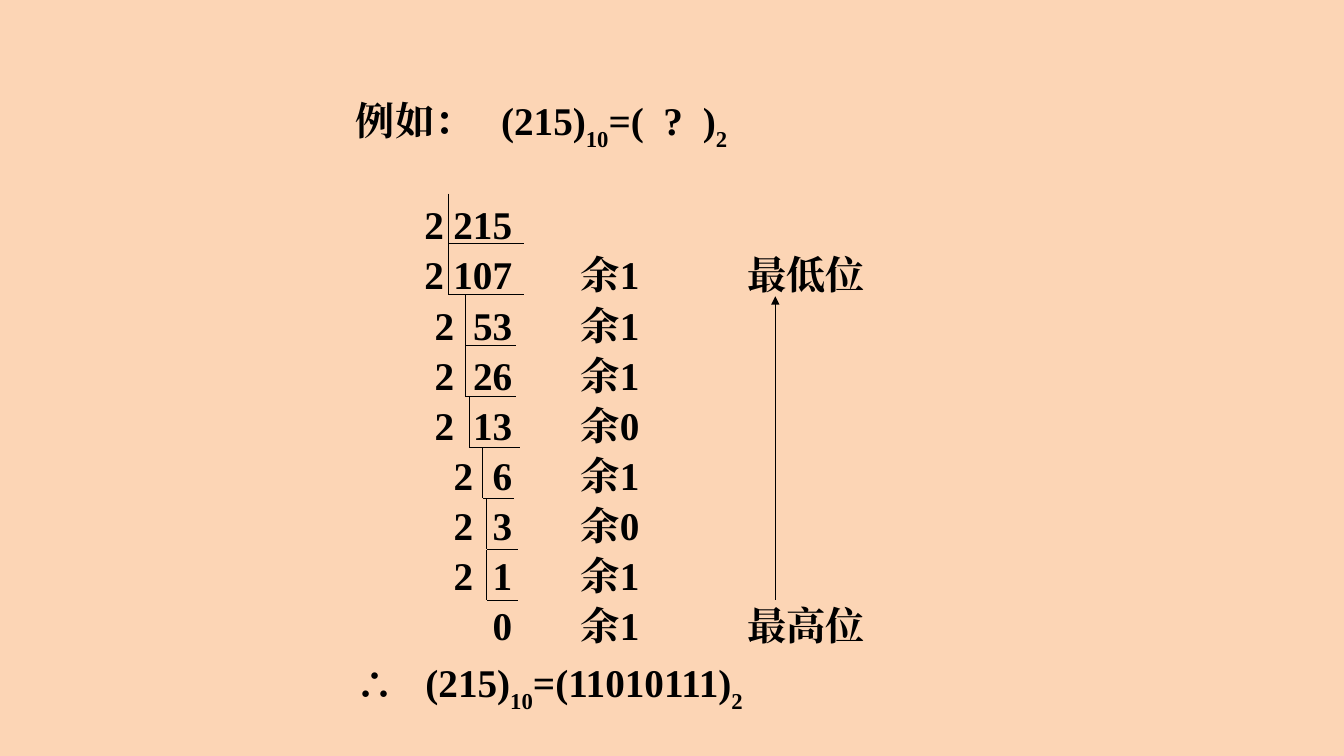
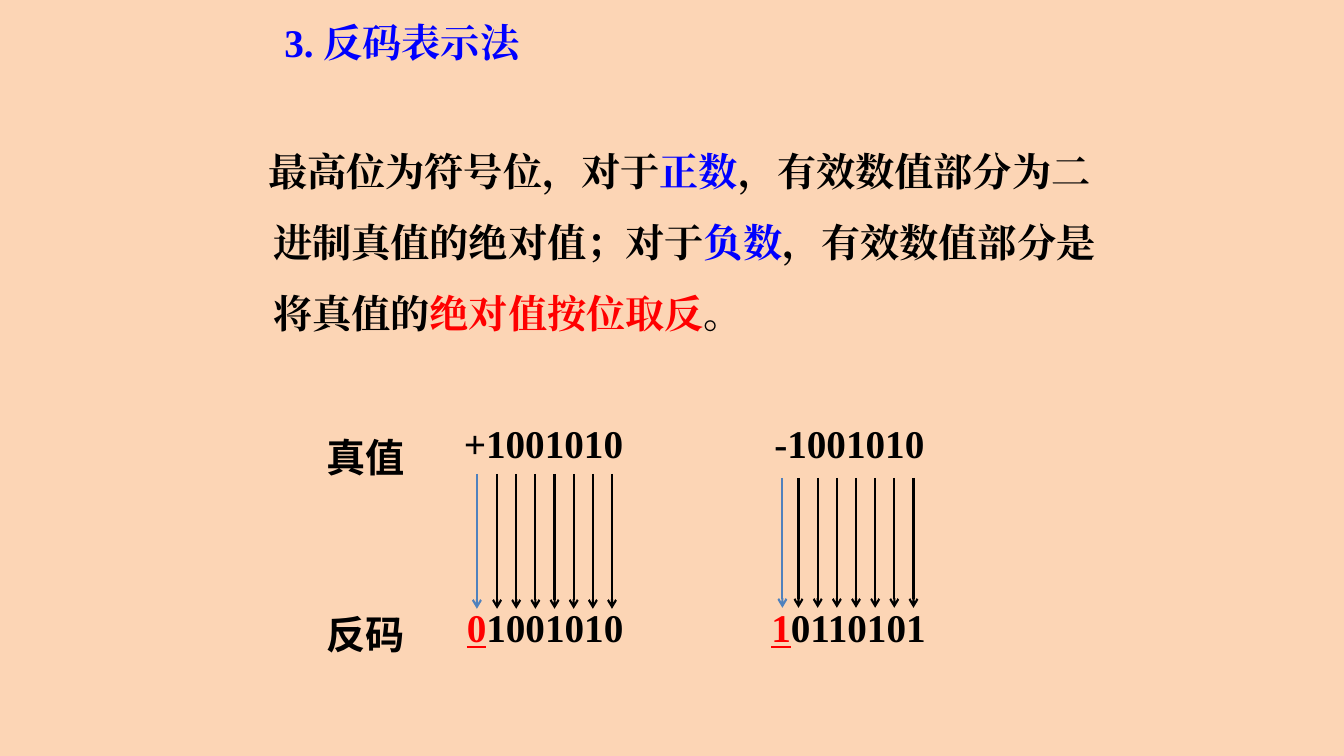
from lxml import etree
from pptx import Presentation
from pptx.dml.color import RGBColor
from pptx.enum.shapes import MSO_CONNECTOR as Connector
from pptx.enum.text import MSO_ANCHOR as Anchor, MSO_AUTO_SIZE as AutoSize, PP_ALIGN as Align
from pptx.oxml.ns import qn
from pptx.util import Inches, Pt

COLORS = {"paper": "FCD5B5", "ink": "000000", "blue": "0000FF",
          "red": "FF0000", "sign": "4F81BD"}
SERIF = "Times New Roman"
TEXT_SIZE = 28
LINE_PITCH = 36
LINE_HEIGHT = 0.5
TITLE_ONLY = 5

# Long division: dividend, remainder, divisor left, bar left, bar width
DIVISIONS = [
    ("215", None, 4.21, 4.45, 0.75),
    ("107", 1, 4.21, 4.45, 0.75),
    ("53", 1, 4.31, 4.62, 0.5),
    ("26", 1, 4.31, 4.62, 0.5),
    ("13", 0, 4.31, 4.66, 0.5),
    ("6", 1, 4.5, 4.79, 0.31),
    ("3", 0, 4.5, 4.83, 0.31),
    ("1", 1, 4.5, 4.83, 0.31),
    ("0", 1, None, None, None),
]
BIT_LABELS = {"107": "最低位", "0": "最高位"}
DIVISION_LEFT = 3.53
DIVIDEND_RIGHT, REMAINDER_LEFT, BIT_LABEL_LEFT = 5.08, 5.76, 7.41

# Bit arrows: sign x, first digit x, top, bottom
BIT_ARROWS = [(4.73, 4.93, 4.7, 6.04), (7.76, 7.92, 4.74, 6.03)]
BIT_PITCH = 0.19


def rgb(name):
    return RGBColor.from_string(COLORS[name])


def set_tabs(paragraph, tabs):
    """Add tab stops given as (position in inches, alignment)."""
    tab_list = etree.SubElement(paragraph._p.get_or_add_pPr(), qn("a:tabLst"))
    for position, align in tabs:
        etree.SubElement(tab_list, qn("a:tab"), pos=str(Inches(position)), algn=align)


def style_paragraph(paragraph, color="ink", font=SERIF, pitch=LINE_PITCH, tabs=()):
    if tabs:
        set_tabs(paragraph, tabs)
    paragraph.alignment = Align.LEFT
    paragraph.line_spacing = Pt(pitch)
    paragraph.space_before = Pt(0)
    paragraph.font.name = font
    paragraph.font.size = Pt(TEXT_SIZE)
    paragraph.font.bold = True
    paragraph.font.color.rgb = rgb(color)
    defaults = paragraph._p.pPr.find(qn("a:defRPr"))
    etree.SubElement(defaults, qn("a:ea"), typeface=font)


def add_runs(paragraph, pieces):
    """Write strings, or (string, mark) with mark 'sub', 'sign bit' or a colour."""
    for piece in pieces:
        text, mark = (piece, None) if isinstance(piece, str) else piece
        run = paragraph.add_run()
        run.text = text
        if mark == "sub":
            run._r.get_or_add_rPr().set("baseline", "-30000")
        elif mark == "sign bit":
            run.font.color.rgb = rgb("red")
            run.font.underline = True
        elif mark:
            run.font.color.rgb = rgb(mark)


def place(shape, left, top, width, height):
    """Position a text shape and take away its insets."""
    shape.left, shape.top = Inches(left), Inches(top)
    shape.width, shape.height = Inches(width), Inches(height)
    frame = shape.text_frame
    frame.margin_left = frame.margin_right = 0
    frame.margin_top = frame.margin_bottom = 0
    frame.word_wrap = True
    frame.auto_size = AutoSize.NONE
    frame.vertical_anchor = Anchor.TOP
    return frame


def add_text(slide, left, top, width, pieces, height=LINE_HEIGHT, **style):
    frame = place(slide.shapes.add_textbox(0, 0, 0, 0), left, top, width, height)
    paragraph = frame.paragraphs[0]
    style_paragraph(paragraph, **style)
    add_runs(paragraph, pieces)
    return paragraph


def add_titled_slide(prs, left, top, width, pieces, **style):
    slide = prs.slides.add_slide(prs.slide_layouts[TITLE_ONLY])
    paragraph = place(slide.shapes.title, left, top, width, LINE_HEIGHT).paragraphs[0]
    style_paragraph(paragraph, **style)
    add_runs(paragraph, pieces)
    return slide


def add_line(slide, start, end, color="ink", width=0.75, arrow=None):
    line = slide.shapes.add_connector(
        Connector.STRAIGHT, *(Inches(length) for length in (*start, *end)))
    line.line.color.rgb = rgb(color)
    line.line.width = Pt(width)
    if arrow:
        etree.SubElement(line.line._get_or_add_ln(), qn("a:tailEnd"), type=arrow)
    etree.SubElement(line._element.spPr, qn("a:effectLst"))


def add_division(slide):
    """Write the division rows on shared tab stops and draw their bars."""
    frame = place(slide.shapes.add_textbox(0, 0, 0, 0), DIVISION_LEFT, 1.96, 6.5, 4.5)
    for row, (dividend, remainder, divisor_left, bar_left, bar_width) in enumerate(DIVISIONS):
        stops = [(DIVIDEND_RIGHT, "r"), (REMAINDER_LEFT, "l"), (BIT_LABEL_LEFT, "l")]
        cells = [dividend]
        if divisor_left:
            stops.insert(0, (divisor_left, "l"))
            cells.insert(0, "2")
            top = 1.92 + 0.505 * row
            bottom = top + 0.5
            add_line(slide, (bar_left, top), (bar_left, bottom))
            add_line(slide, (bar_left, bottom), (bar_left + bar_width, bottom))
        if remainder is not None:
            cells.append(f"余{remainder}")
        if dividend in BIT_LABELS:
            cells.append(BIT_LABELS[dividend])
        paragraph = frame.paragraphs[0] if row == 0 else frame.add_paragraph()
        style_paragraph(paragraph, pitch=35.8,
                        tabs=[(x - DIVISION_LEFT, align) for x, align in stops])
        add_runs(paragraph, ["".join("\t" + cell for cell in cells)])


def build_division_slide(prs):
    slide = add_titled_slide(
        prs, DIVISION_LEFT, 1.01, 6.5,
        ["例如：\t(215)", ("10", "sub"), "=(\t?\t)", ("2", "sub")],
        tabs=[(1.44, "l"), (3.05, "l"), (3.44, "l")])
    add_division(slide)
    # Reading direction of the remainders
    add_line(slide, (7.69, 5.95), (7.69, 2.94), arrow="triangle")
    # Result
    add_text(slide, DIVISION_LEFT, 6.58, 6.5,
             ["∴\t(215)", ("10", "sub"), "=(11010111)", ("2", "sub")],
             tabs=[(0.69, "l")])


def build_complement_slide(prs):
    slide = add_titled_slide(prs, 2.82, 0.15, 4, ["3. 反码表示法"], color="blue")
    # Rule
    rule = add_text(
        slide, 2.66, 1.22, 8.34,
        ["最高位为符号位，对于", ("正数", "blue"),
         "，有效数值部分为二进制真值的绝对值；对于", ("负数", "blue"),
         "，有效数值部分是将真值的", ("绝对值按位取反", "red"), "。"],
        height=2.1, pitch=50.7)
    rule._p.pPr.set("marL", str(Inches(0.05)))
    rule._p.pPr.set("indent", str(Inches(-0.05)))
    # Row labels
    add_text(slide, 3.24, 4.27, 1, ["真值"], font="Arial")
    add_text(slide, 3.24, 6.02, 1, ["反码"], font="Noto Sans CJK SC")
    # True values above, complements below
    for left, top, pieces in [
        (4.6, 4.13, ["+1001010"]),
        (7.68, 4.13, ["-1001010"]),
        (4.63, 5.95, [("0", "sign bit"), "1001010"]),
        (7.65, 5.95, [("1", "sign bit"), "0110101"]),
    ]:
        add_text(slide, left, top, 2.1, pieces)
    # One arrow for the sign and one for each digit
    for sign_x, digit_x, top, bottom in BIT_ARROWS:
        add_line(slide, (sign_x, top), (sign_x, bottom), "sign", 1.5, "arrow")
        for digit in range(7):
            x = digit_x + digit * BIT_PITCH
            add_line(slide, (x, top), (x, bottom), width=1.5, arrow="arrow")


def main():
    prs = Presentation()
    prs.slide_width, prs.slide_height = Inches(13.33), Inches(7.5)
    backdrop = prs.slide_master.background.fill
    backdrop.solid()
    backdrop.fore_color.rgb = rgb("paper")
    build_division_slide(prs)
    build_complement_slide(prs)
    prs.save("out.pptx")


if __name__ == "__main__":
    main()
